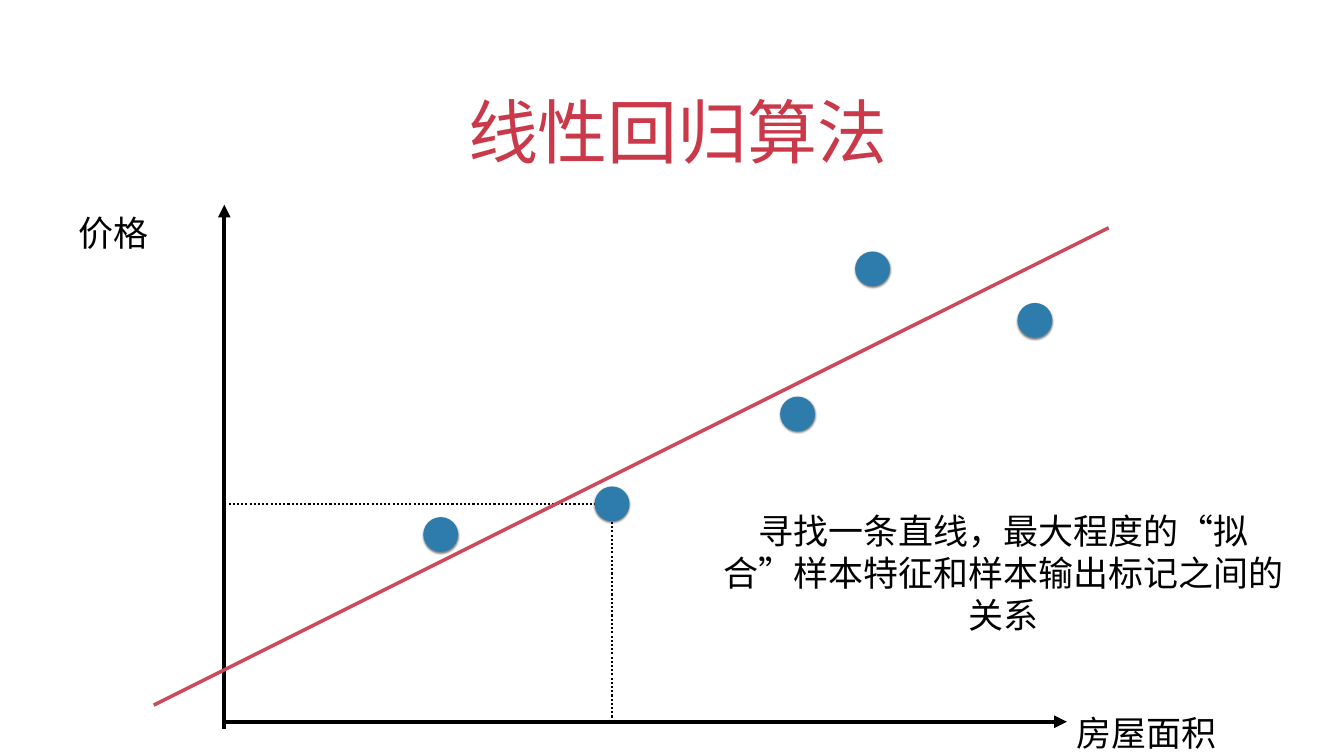
"""Builds a slide that explains linear regression with a scatter sketch."""
from lxml.etree import SubElement
from pptx import Presentation
from pptx.dml.color import RGBColor
from pptx.enum.dml import MSO_LINE_DASH_STYLE as Dash
from pptx.enum.shapes import MSO_CONNECTOR as Connector, MSO_SHAPE as Shape
from pptx.enum.text import MSO_ANCHOR as Anchor, MSO_AUTO_SIZE as AutoSize, PP_ALIGN as Align
from pptx.oxml.ns import qn
from pptx.util import Inches, Pt

COLORS = {"title": "C9394A", "trend": "CA495A", "dot": "2E7CAC", "ink": "000000"}
ORIGIN = (16.69, 95.47)
KEY_SAMPLE = (45.54, 66.65)
SAMPLES = [(32.79, 70.7), (59.34, 54.77), (64.92, 35.57), (77, 42.37), KEY_SAMPLE]


def color(name):
    return RGBColor.from_string(COLORS[name])


def write(shape, text, size=50, ink="ink", align=Align.LEFT, anchor=Anchor.MIDDLE,
          spacing=1.0, indent=0, fit=AutoSize.SHAPE_TO_FIT_TEXT):
    frame = shape.text_frame
    frame.word_wrap, frame.auto_size, frame.vertical_anchor = True, fit, anchor
    frame.margin_left = frame.margin_right = Inches(0.06)
    frame.margin_top = frame.margin_bottom = Inches(0.06)
    paragraph = frame.paragraphs[0]
    paragraph.alignment, paragraph.line_spacing = align, spacing
    if indent:
        paragraph._p.get_or_add_pPr().set("indent", str(Inches(indent)))
    run = paragraph.add_run()
    run.text = text
    run.font.name, run.font.size = "Arial", Pt(size)
    run.font.color.rgb = color(ink)


class Sketch:
    def __init__(self, presentation):
        self.width, self.height = presentation.slide_width, presentation.slide_height
        self.slide = presentation.slides.add_slide(presentation.slide_layouts[5])
        self.shapes = self.slide.shapes
        self.dot_size = Inches(0.69)

    def place(self, x, y):
        return round(self.width * x / 100), round(self.height * y / 100)

    def title(self, text, left, top, width, height):
        shape = self.shapes.title
        shape.left, shape.top = self.place(left, top)
        shape.width, shape.height = self.place(width, height)
        write(shape, text, size=100, ink="title", align=Align.CENTER,
              anchor=Anchor.BOTTOM, indent=0.25, fit=AutoSize.NONE)

    def label(self, text, left, top, width, height, **style):
        box = self.shapes.add_textbox(*self.place(left, top), *self.place(width, height))
        write(box, text, **style)

    def line(self, start, end, weight, ink="ink", dash=None, arrow=False):
        connector = self.shapes.add_connector(
            Connector.STRAIGHT, *self.place(*start), *self.place(*end))
        connector.line.width = Pt(weight)
        connector.line.color.rgb = color(ink)
        if dash:
            connector.line.dash_style = dash
        if arrow:
            SubElement(connector.line._get_or_add_ln(), qn("a:tailEnd"), type="triangle")
        SubElement(connector._element.spPr, qn("a:effectLst"))

    def dot(self, x, y):
        center_x, center_y = self.place(x, y)
        half = self.dot_size // 2
        shape = self.shapes.add_shape(Shape.OVAL, center_x - half, center_y - half,
                                      self.dot_size, self.dot_size)
        shape.fill.solid()
        shape.fill.fore_color.rgb = color("dot")
        shape.line.fill.background()
        shape.shadow.inherit = False
        effects = shape._element.spPr.find(qn("a:effectLst"))
        shadow = SubElement(effects, qn("a:outerShdw"), blurRad=str(Pt(3)),
                            dist=str(Pt(2)), dir="5400000", rotWithShape="0")
        tint = SubElement(shadow, qn("a:srgbClr"), val=COLORS["ink"])
        SubElement(tint, qn("a:alpha"), val="50000")


def main():
    presentation = Presentation()
    presentation.slide_width, presentation.slide_height = Inches(26.67), Inches(15)
    sketch = Sketch(presentation)
    sketch.title("线性回归算法", 7.27, 8.47, 85.41, 14.8)

    origin_x, origin_y = ORIGIN
    key_x, key_y = KEY_SAMPLE
    sketch.line((origin_x, key_y), (key_x, key_y), 3, dash=Dash.ROUND_DOT)
    sketch.line((key_x, origin_y), (key_x, key_y), 3, dash=Dash.ROUND_DOT)
    sketch.line(ORIGIN, (79.38, origin_y), 6, arrow=True)
    sketch.line((origin_x, 96.4), (origin_x, 27.07), 6, arrow=True)
    sketch.line((11.44, 93.27), (82.49, 30.13), 5, ink="trend")
    for sample in SAMPLES:
        sketch.dot(*sample)

    sketch.label("房屋面积", 79.87, 91.87, 14.55, 7.2, spacing=1.5)
    sketch.label("价格", 5.59, 25.8, 14.55, 7.2, spacing=1.5)
    sketch.label("寻找一条直线，最大程度的“拟合”样本特征和样本输出标记之间的关系",
                 53.58, 68.87, 42.22, 13.73, align=Align.CENTER)
    presentation.save("out.pptx")


if __name__ == "__main__":
    main()
